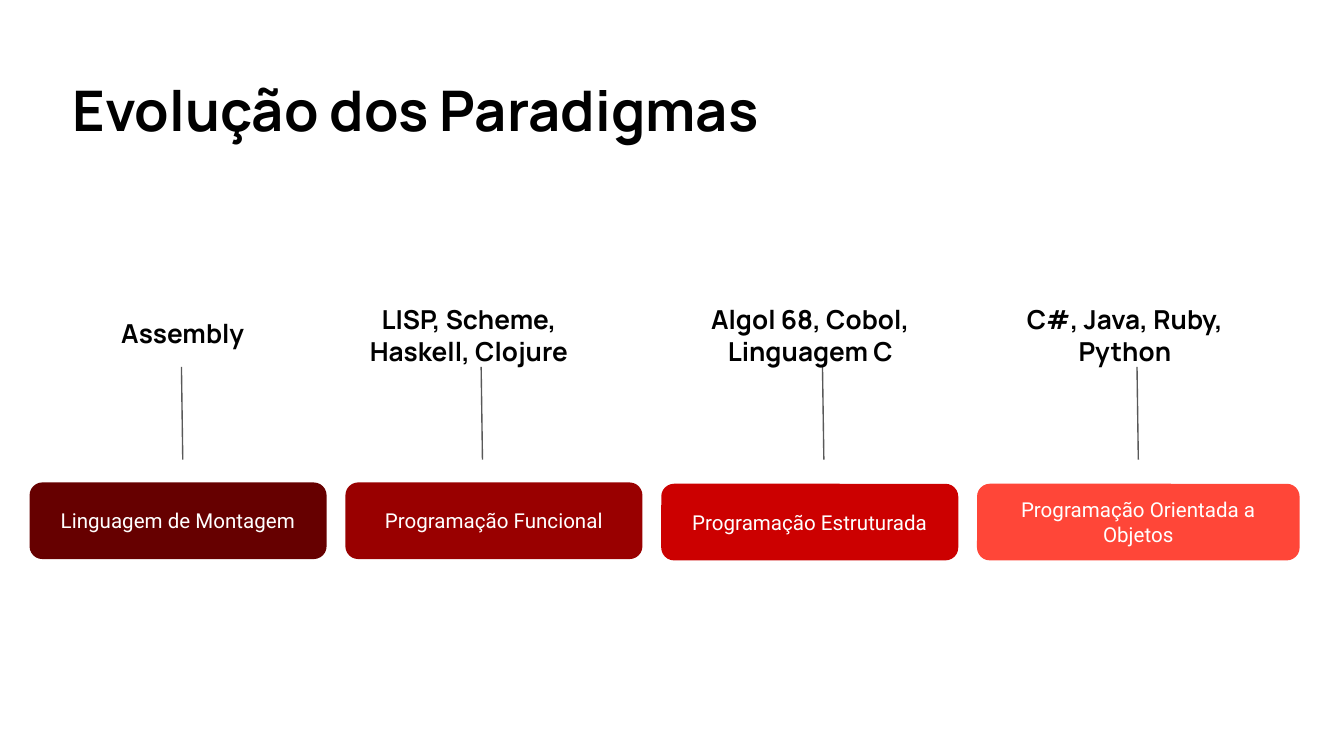
from dataclasses import dataclass

from lxml.etree import SubElement
from pptx import Presentation
from pptx.dml.color import RGBColor
from pptx.enum.shapes import MSO_CONNECTOR as Connector, MSO_SHAPE as Shape
from pptx.enum.text import MSO_ANCHOR as Anchor, PP_ALIGN as Align
from pptx.oxml.ns import qn
from pptx.util import Inches, Pt


@dataclass(frozen=True)
class Theme:
    heading_font: str = "Manrope"
    body_font: str = "Roboto"
    ink: str = "000000"
    paper: str = "FFFFFF"
    stem: str = "595959"
    title_size: float = 30
    label_size: float = 14
    box_size: float = 11
    stem_width: float = 0.75
    corner: float = 0.167
    inset: float = 1


class SlideBuilder:
    columns, rows = 100, 56.25
    cell = Inches(0.1)

    def __init__(self, presentation, theme):
        self.theme = theme
        presentation.slide_width = self.length(self.columns)
        presentation.slide_height = self.length(self.rows)
        self.slide = presentation.slides.add_slide(presentation.slide_layouts[6])
        fill = self.slide.background.fill
        fill.solid()
        fill.fore_color.rgb = RGBColor.from_string(theme.paper)

    def length(self, cells):
        return round(cells * self.cell)

    def place(self, *cells):
        return [self.length(value) for value in cells]

    def set_text(self, shape, text, font, size, color, bold, align, anchor):
        frame = shape.text_frame
        inset = self.length(self.theme.inset)
        sides = ("left", "right", "top", "bottom")
        frame_format = {f"margin_{side}": inset for side in sides}
        frame_format |= {"word_wrap": True, "vertical_anchor": anchor}
        for name, value in frame_format.items():
            setattr(frame, name, value)
        paragraph = frame.paragraphs[0]
        paragraph.alignment = align
        run = paragraph.add_run()
        run.text = text
        for name, value in {"name": font, "size": Pt(size), "bold": bold}.items():
            setattr(run.font, name, value)
        run.font.color.rgb = RGBColor.from_string(color)

    def heading(self, text, at, size, align=Align.CENTER, anchor=Anchor.TOP):
        shape = self.slide.shapes.add_textbox(*self.place(*at))
        theme = self.theme
        self.set_text(shape, text, theme.heading_font, size, theme.ink,
                      True, align, anchor)

    def box(self, text, at, color):
        shape = self.slide.shapes.add_shape(Shape.ROUNDED_RECTANGLE, *self.place(*at))
        theme = self.theme
        shape.adjustments[0] = theme.corner
        shape.shadow.inherit = False
        shape.fill.solid()
        shape.fill.fore_color.rgb = RGBColor.from_string(color)
        shape.line.fill.background()
        self.set_text(shape, text, theme.body_font, theme.box_size, theme.paper,
                      False, Align.CENTER, Anchor.MIDDLE)

    def stem(self, start, end):
        line = self.slide.shapes.add_connector(
            Connector.STRAIGHT, *self.place(*start, *end))
        line.line.color.rgb = RGBColor.from_string(self.theme.stem)
        line.line.width = Pt(self.theme.stem_width)
        SubElement(line._element.spPr, qn("a:effectLst"))


PARADIGMS = [
    ("Linguagem de Montagem", "660000", 35.9, 22.1, "Assembly", 4.4, 22.6, 3.7, 13.5),
    ("Programação Funcional", "990000", 35.9, 22.1,
     "LISP, Scheme, Haskell, Clojure", 25.7, 21.6, 5.7, 35.8),
    ("Programação Estruturada", "CC0000", 36, 22.1,
     "Algol 68, Cobol, Linguagem C", 51.1, 21.6, 5.7, 61.2),
    ("Programação Orientada a Objetos", "FF4638", 36, 24,
     "C#, Java, Ruby, Python", 74.5, 21.6, 5.7, 84.6),
]
BOX_LEFT, BOX_PITCH, BOX_HEIGHT = 2.2, 23.5, 5.7
LABEL_WIDTH = 18.4
STEM_TOP, STEM_BOTTOM, STEM_SLANT = 27.3, 34.2, 0.1


def main():
    presentation = Presentation()
    theme = Theme()
    builder = SlideBuilder(presentation, theme)
    builder.heading("Evolução dos Paradigmas", (4.4, 3.3, 83, 8.3),
                    theme.title_size, Align.LEFT, Anchor.BOTTOM)
    for index, paradigm in enumerate(PARADIGMS):
        name, color, top, width, languages, left, label_top, height, stem_x = paradigm
        box_left = BOX_LEFT + index * BOX_PITCH
        builder.box(name, (box_left, top, width, BOX_HEIGHT), color)
        builder.stem((stem_x, STEM_TOP), (stem_x + STEM_SLANT, STEM_BOTTOM))
        builder.heading(languages, (left, label_top, LABEL_WIDTH, height),
                        theme.label_size)
    presentation.save("out.pptx")


if __name__ == "__main__":
    main()
